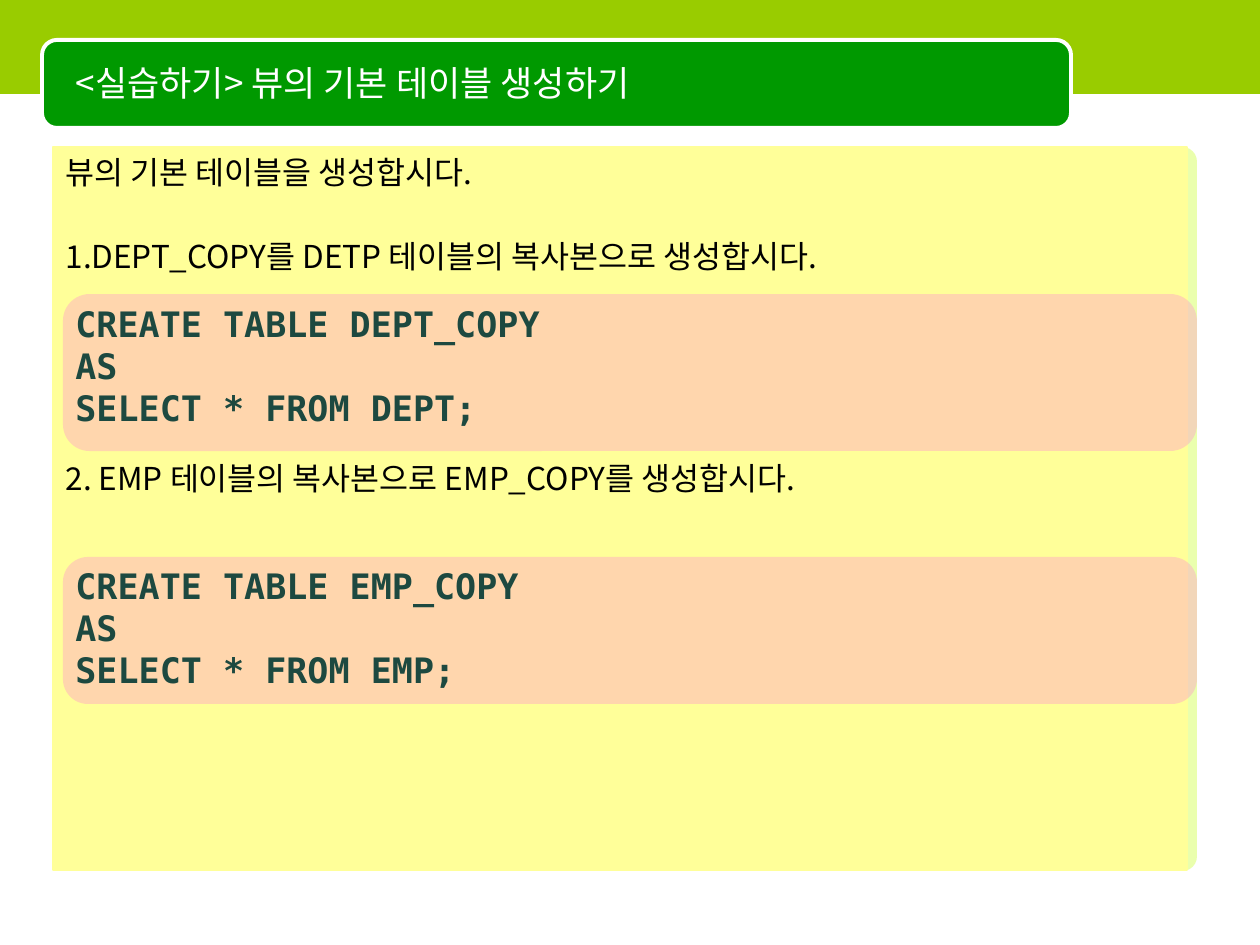
from dataclasses import dataclass

import pptx
import pptx.dml.color
import pptx.enum.shapes
import pptx.enum.text
import pptx.oxml
import pptx.oxml.ns
import pptx.util

EMU_PER_PX = 914400 / 126
SHAPES = pptx.enum.shapes.MSO_SHAPE
ANCHOR = pptx.enum.text.MSO_ANCHOR
COLORS = {
    "white": "FFFFFF",
    "black": "000000",
    "band": "99CC00",
    "header": "009900",
    "lime": "CCFF33",
    "paper": "FFFF99",
    "pink": "FF99CC",
    "code": "1D4940",
}
TEXT_FONT = "Noto Sans CJK KR"
CODE_FONT = "DejaVu Sans Mono"


@dataclass(frozen=True)
class Box:
    left: int
    top: int
    width: int
    height: int

    def emu(self) -> list:
        lengths = (self.left, self.top, self.width, self.height)
        return [pptx.util.Emu(round(length * EMU_PER_PX)) for length in lengths]


@dataclass(frozen=True)
class Step:
    text: str
    space_before: float


@dataclass(frozen=True)
class CodePanel:
    panel: Box
    text_top: int
    lines: tuple


STEPS = (
    Step("뷰의 기본 테이블을 생성합시다.", 0),
    Step("1.DEPT_COPY를 DETP 테이블의 복사본으로 생성합시다.", 26.5),
    Step("2. EMP 테이블의 복사본으로 EMP_COPY를 생성합시다.", 104.8),
)
CODE_PANELS = (
    CodePanel(Box(63, 294, 1134, 157), 296,
              ("CREATE TABLE DEPT_COPY", "AS", "SELECT * FROM DEPT;")),
    CodePanel(Box(63, 557, 1134, 147), 558,
              ("CREATE TABLE EMP_COPY", "AS", "SELECT * FROM EMP;")),
)


def rgb(name: str) -> pptx.dml.color.RGBColor:
    return pptx.dml.color.RGBColor.from_string(COLORS[name])


def paint(shape, fill: str, line: str = "", line_width: float = 0) -> None:
    shape.fill.solid()
    shape.fill.fore_color.rgb = rgb(fill)
    if line:
        shape.line.color.rgb = rgb(line)
        shape.line.width = pptx.util.Pt(line_width)
    else:
        shape.line.fill.background()


def set_opacity(shape, percent: int) -> None:
    color = shape.fill._xPr.find(".//" + pptx.oxml.ns.qn("a:srgbClr"))
    alpha = pptx.oxml.parse_xml(
        f'<a:alpha {pptx.oxml.ns.nsdecls("a")} val="{percent * 1000}"/>')
    color.append(alpha)


def add_block(shapes, kind, box: Box, corner: float = 0):
    block = shapes.add_shape(kind, *box.emu())
    block.shadow.inherit = False
    if corner:
        block.adjustments[0] = corner
    return block


def place(placeholder, box: Box) -> None:
    """Move a placeholder to its box and in front of the shapes so far."""
    placeholder.left, placeholder.top, placeholder.width, placeholder.height = box.emu()
    tree = placeholder.element.getparent()
    tree.remove(placeholder.element)
    tree.append(placeholder.element)


def style(paragraph, font: str, size: int, color: str, bold: bool = False) -> None:
    paragraph.alignment = pptx.enum.text.PP_ALIGN.LEFT
    paragraph.font.name = font
    paragraph.font.size = pptx.util.Pt(size)
    paragraph.font.bold = bold
    paragraph.font.color.rgb = rgb(color)
    properties = paragraph.font._element
    latin = properties.find(pptx.oxml.ns.qn("a:latin"))
    latin.addnext(pptx.oxml.parse_xml(
        f'<a:ea {pptx.oxml.ns.nsdecls("a")} typeface="{font}"/>'))


def add_header(slide) -> None:
    band = add_block(slide.shapes, SHAPES.RECTANGLE, Box(0, 0, 1261, 94))
    paint(band, "band")
    header = add_block(slide.shapes, SHAPES.ROUNDED_RECTANGLE,
                       Box(42, 40, 1029, 88), 0.17)
    paint(header, "header", "white", 2.25)
    title = slide.shapes.title
    place(title, Box(63, 44, 998, 78))
    title.text_frame.text = "<실습하기> 뷰의 기본 테이블 생성하기"
    title.text_frame.vertical_anchor = ANCHOR.MIDDLE
    style(title.text_frame.paragraphs[0], TEXT_FONT, 20, "white")


def add_steps(slide) -> None:
    body = slide.placeholders[1]
    place(body, Box(53, 147, 1134, 723))
    paint(body, "paper", "paper", 0.75)
    frame = body.text_frame
    frame.auto_size = pptx.enum.text.MSO_AUTO_SIZE.NONE
    frame.vertical_anchor = ANCHOR.TOP
    frame.text = "\n".join(step.text for step in STEPS)
    for paragraph, step in zip(frame.paragraphs, STEPS):
        properties = paragraph._p.get_or_add_pPr()
        properties.set("marL", "0")
        properties.set("indent", "0")
        properties.append(pptx.oxml.parse_xml(
            f'<a:buNone {pptx.oxml.ns.nsdecls("a")}/>'))
        paragraph.space_before = pptx.util.Pt(step.space_before)
        style(paragraph, TEXT_FONT, 18, "black")


def add_code_panel(slide, code: CodePanel) -> None:
    group = slide.shapes.add_group_shape()
    panel = add_block(group.shapes, SHAPES.ROUNDED_RECTANGLE, code.panel, 0.17)
    paint(panel, "pink")
    set_opacity(panel, 40)
    text_box = Box(code.panel.left, code.text_top, code.panel.width, 139)
    frame = group.shapes.add_textbox(*text_box.emu()).text_frame
    frame.word_wrap = True
    frame.text = "\n".join(code.lines)
    for paragraph in frame.paragraphs:
        style(paragraph, CODE_FONT, 20, "code", bold=True)


def main() -> None:
    presentation = pptx.Presentation()
    presentation.slide_width = pptx.util.Inches(10)
    presentation.slide_height = pptx.util.Inches(7.5)
    slide = presentation.slides.add_slide(presentation.slide_layouts[1])
    sheet = add_block(slide.shapes, SHAPES.ROUNDED_RECTANGLE,
                      Box(63, 147, 1134, 724), 0.02)
    paint(sheet, "lime")
    set_opacity(sheet, 40)
    add_header(slide)
    add_steps(slide)
    for code in CODE_PANELS:
        add_code_panel(slide, code)
    presentation.save("out.pptx")


if __name__ == "__main__":
    main()
